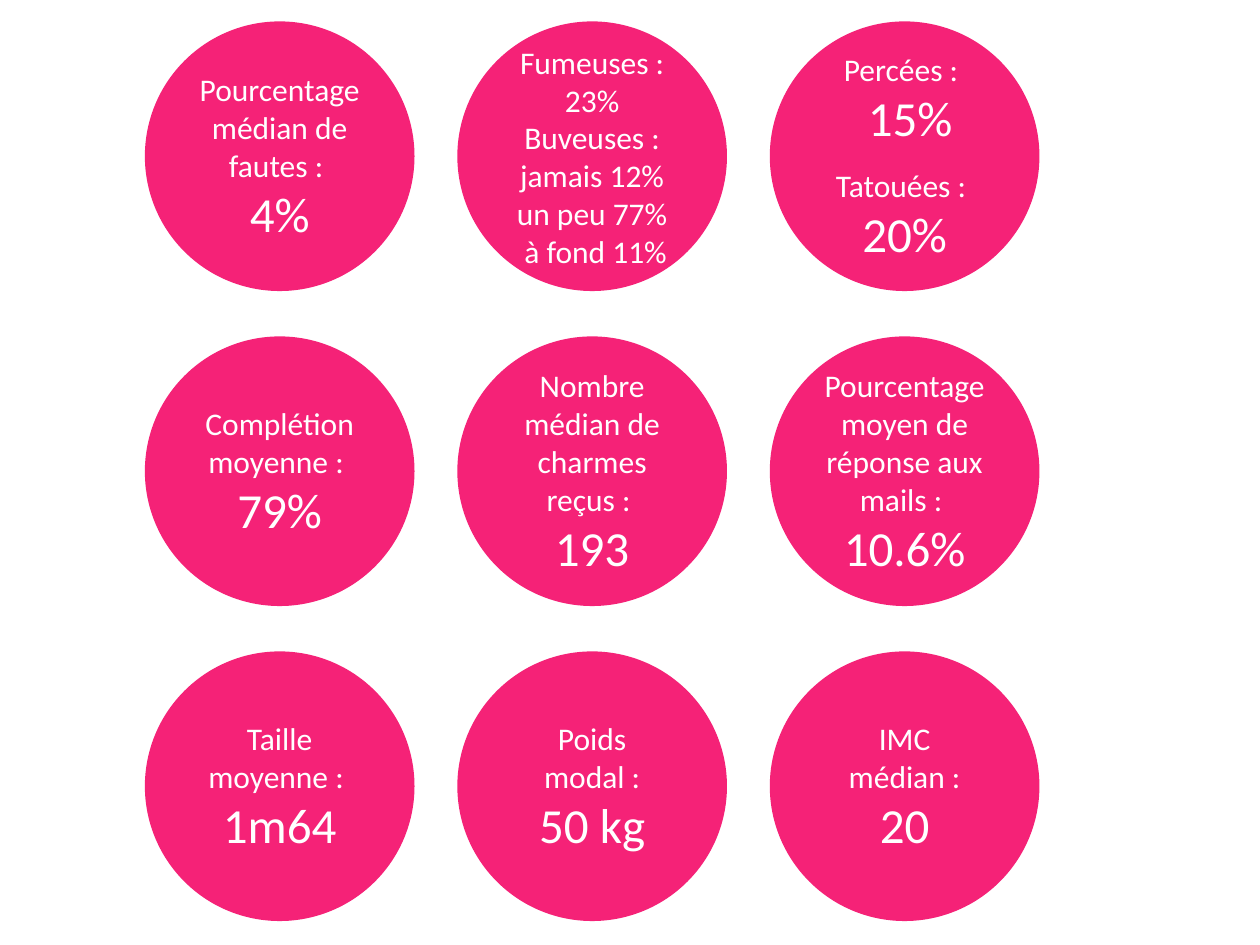
"""Build a slide with a three-by-three grid of profile statistics in circles."""
from dataclasses import dataclass

from pptx import Presentation
from pptx import util as u
from pptx.dml import color
from pptx.enum import shapes, text


@dataclass(frozen=True)
class Theme:
    """Colours, font and type sizes of the slide."""
    pink: color.RGBColor = color.RGBColor(0xF5, 0x22, 0x77)
    white: color.RGBColor = color.RGBColor(0xFF, 0xFF, 0xFF)
    font: str = "Calibri"
    label: u.Pt = u.Pt(18)
    value: u.Pt = u.Pt(28)
    group_gap: u.Pt = u.Pt(11)


THEME = Theme()
LEFT, TOP, DIAMETER = 1.15, 0.17, 2.14
COLUMN_STEP, ROW_STEP = 2.48, 2.5


def pairs(*items):
    """Return label and value paragraphs, with a gap before each later pair."""
    lines = []
    for index, (label, value) in enumerate(items):
        gap = THEME.group_gap if index else u.Pt(0)
        lines += [(label, THEME.label, gap), (value, THEME.value, u.Pt(0))]
    return lines


def labels(*words):
    """Return paragraphs that all have the label size."""
    return [(word, THEME.label, u.Pt(0)) for word in words]


STATISTICS = [
    [
        pairs(("Pourcentage médian de fautes : ", "4%")),
        labels("Fumeuses :", "23%", "Buveuses :", "jamais 12%",
               "un peu 77%", " à fond 11%"),
        pairs(("Percées : ", " 15%"), ("Tatouées : ", "20%")),
    ],
    [
        pairs(("Complétion moyenne : ", "79%")),
        pairs(("Nombre médian de charmes reçus : ", "193")),
        pairs(("Pourcentage moyen de réponse aux mails : ", "10.6%")),
    ],
    [
        pairs(("Taille moyenne : ", "1m64")),
        pairs(("Poids modal :", "50 kg")),
        pairs(("IMC médian :", "20")),
    ],
]


def apply_format(target, values):
    """Set each attribute of the target from a dict of format values."""
    for name, value in values.items():
        setattr(target, name, value)


def add_line(para, words, size, gap):
    """Write one centred line of text in a paragraph."""
    apply_format(para, {"alignment": text.PP_ALIGN.CENTER, "space_before": gap})
    span = para.add_run()
    span.text = words
    apply_format(span.font, {"name": THEME.font, "size": size})
    span.font.color.rgb = THEME.white


def add_circle(page, left, top, lines):
    """Add a pink circle holding the given lines."""
    circle = page.shapes.add_shape(
        shapes.MSO_SHAPE.OVAL, u.Inches(left), u.Inches(top),
        u.Inches(DIAMETER), u.Inches(DIAMETER))
    circle.shadow.inherit = False
    circle.fill.solid()
    circle.fill.fore_color.rgb = THEME.pink
    circle.line.fill.background()
    frame = circle.text_frame
    apply_format(frame, {"word_wrap": True,
                         "vertical_anchor": text.MSO_ANCHOR.MIDDLE})
    for index, line in enumerate(lines):
        para = frame.add_paragraph() if index else frame.paragraphs[0]
        add_line(para, *line)


def main():
    """Build and save the deck."""
    deck = Presentation()
    apply_format(deck, {"slide_width": u.Inches(10),
                        "slide_height": u.Inches(7.5)})
    page = deck.slides.add_slide(deck.slide_layouts[6])
    for row, circles in enumerate(STATISTICS):
        for column, lines in enumerate(circles):
            add_circle(page, LEFT + column * COLUMN_STEP,
                       TOP + row * ROW_STEP, lines)
    deck.save("out.pptx")


if __name__ == "__main__":
    main()
